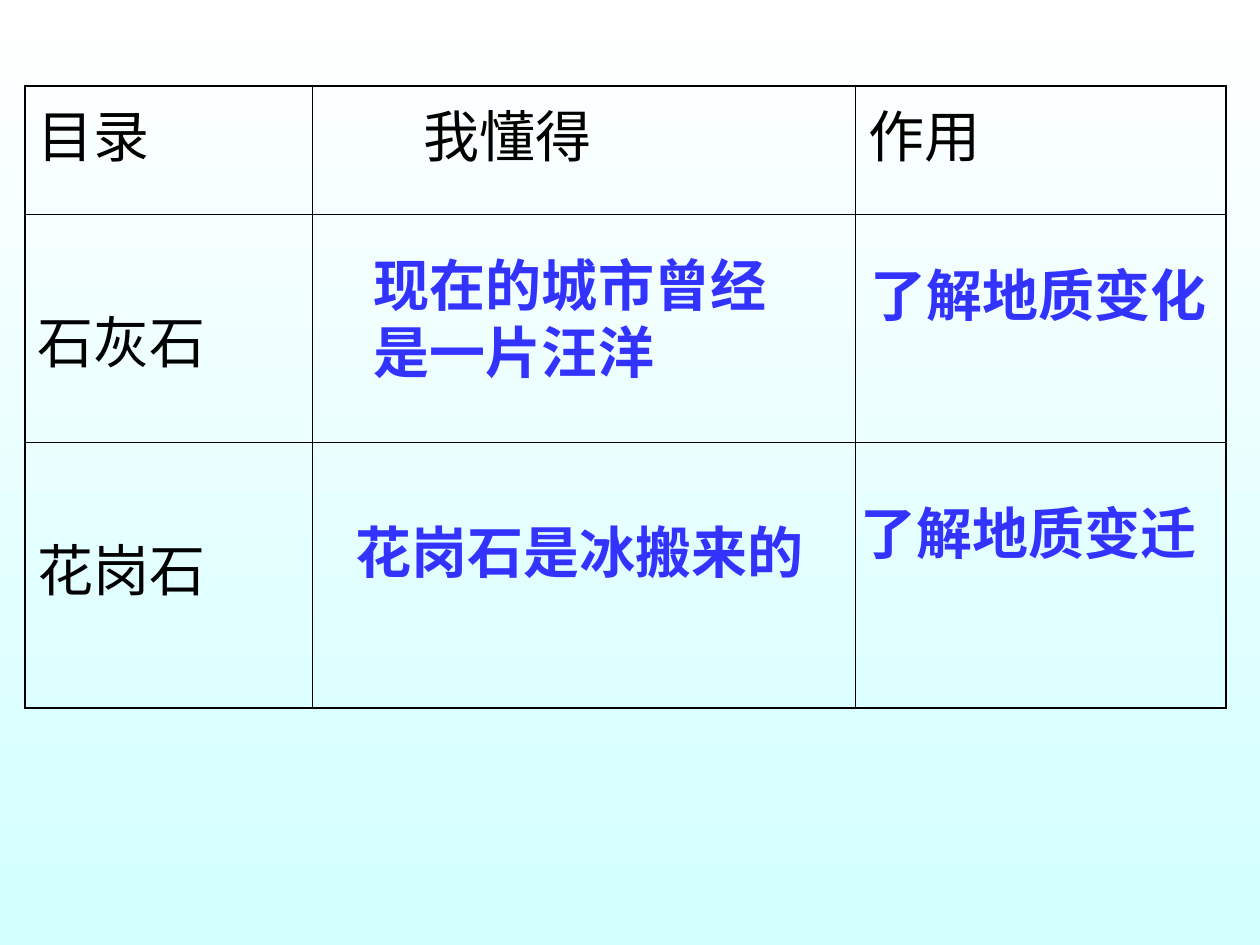
from lxml.etree import SubElement
from pptx import Presentation
from pptx.dml.color import RGBColor
from pptx.oxml.ns import qn
from pptx.util import Inches, Pt

ROWS = [
    ("目录", "我懂得", "作用"),
    ("石灰石", "", ""),
    ("花岗石", "", ""),
]
COLUMN_WIDTHS = [2.28, 4.31, 2.94]
ROW_HEIGHTS = [1.02, 1.81, 2.11]
TABLE_LEFT, TABLE_TOP = 0.2, 0.68
ANSWERS = [
    ("现在的城市曾经是一片汪洋", 2.87, 1.94, 3.47, 1.17),
    ("了解地质变化", 6.81, 2.02, 2.91, 0.64),
    ("花岗石是冰搬来的", 2.72, 4.06, 3.78, 0.64),
    ("了解地质变迁", 6.73, 3.91, 2.99, 0.64),
]
BACKGROUND = ["FFFFFF", "D2FFFF"]
BLACK, BLUE = "000000", "3333FF"
OUTER_LINE, INNER_LINE = 1.08, 0.45


def color(value):
    return RGBColor.from_string(value)


def write(frame, text, font="Arial", size=32, fill=BLACK, bold=False):
    frame.word_wrap = True
    run = frame.paragraphs[0].add_run()
    run.text = text
    run.font.name = font
    run.font.size = Pt(size)
    run.font.bold = bold
    run.font.color.rgb = color(fill)


def set_borders(cell, widths):
    properties = cell._tc.get_or_add_tcPr()
    for index, (side, width) in enumerate(widths.items()):
        border = properties.makeelement(qn(f"a:{side}"), {"w": str(Pt(width))})
        fill = SubElement(border, qn("a:solidFill"))
        SubElement(fill, qn("a:srgbClr"), val=BLACK)
        properties.insert(index, border)


def add_stone_table(slide):
    table = slide.shapes.add_table(
        len(ROWS), len(COLUMN_WIDTHS), Inches(TABLE_LEFT), Inches(TABLE_TOP),
        Inches(sum(COLUMN_WIDTHS)), Inches(sum(ROW_HEIGHTS))).table
    table.first_row = table.horz_banding = False
    for column, width in zip(table.columns, COLUMN_WIDTHS):
        column.width = Inches(width)
    for row, height in zip(table.rows, ROW_HEIGHTS):
        row.height = Inches(height)
    last_row, last_column = len(ROWS) - 1, len(COLUMN_WIDTHS) - 1
    for r, row in enumerate(ROWS):
        for c, text in enumerate(row):
            cell = table.cell(r, c)
            cell.fill.background()
            cell.margin_left = Inches(0.88 if (r, c) == (0, 1) else 0.1)
            cell.margin_top = Inches(0.05 if r == 0 else 0.67)
            edges = {"lnL": c == 0, "lnR": c == last_column,
                     "lnT": r == 0, "lnB": r == last_row}
            set_borders(cell, {side: OUTER_LINE if outer else INNER_LINE
                               for side, outer in edges.items()})
            if text:
                write(cell.text_frame, text, font="Cambria")


def main():
    presentation = Presentation()
    presentation.slide_width, presentation.slide_height = Inches(10), Inches(7.5)
    slide = presentation.slides.add_slide(presentation.slide_layouts[6])
    background = slide.background.fill
    background.gradient()
    background.gradient_angle = 270
    for stop, value, position in zip(background.gradient_stops, BACKGROUND, (0, 1)):
        stop.color.rgb = color(value)
        stop.position = position
    add_stone_table(slide)
    for text, *place in ANSWERS:
        answer = slide.shapes.add_textbox(*map(Inches, place))
        write(answer.text_frame, text, fill=BLUE, bold=True)
    presentation.save("out.pptx")


if __name__ == "__main__":
    main()
